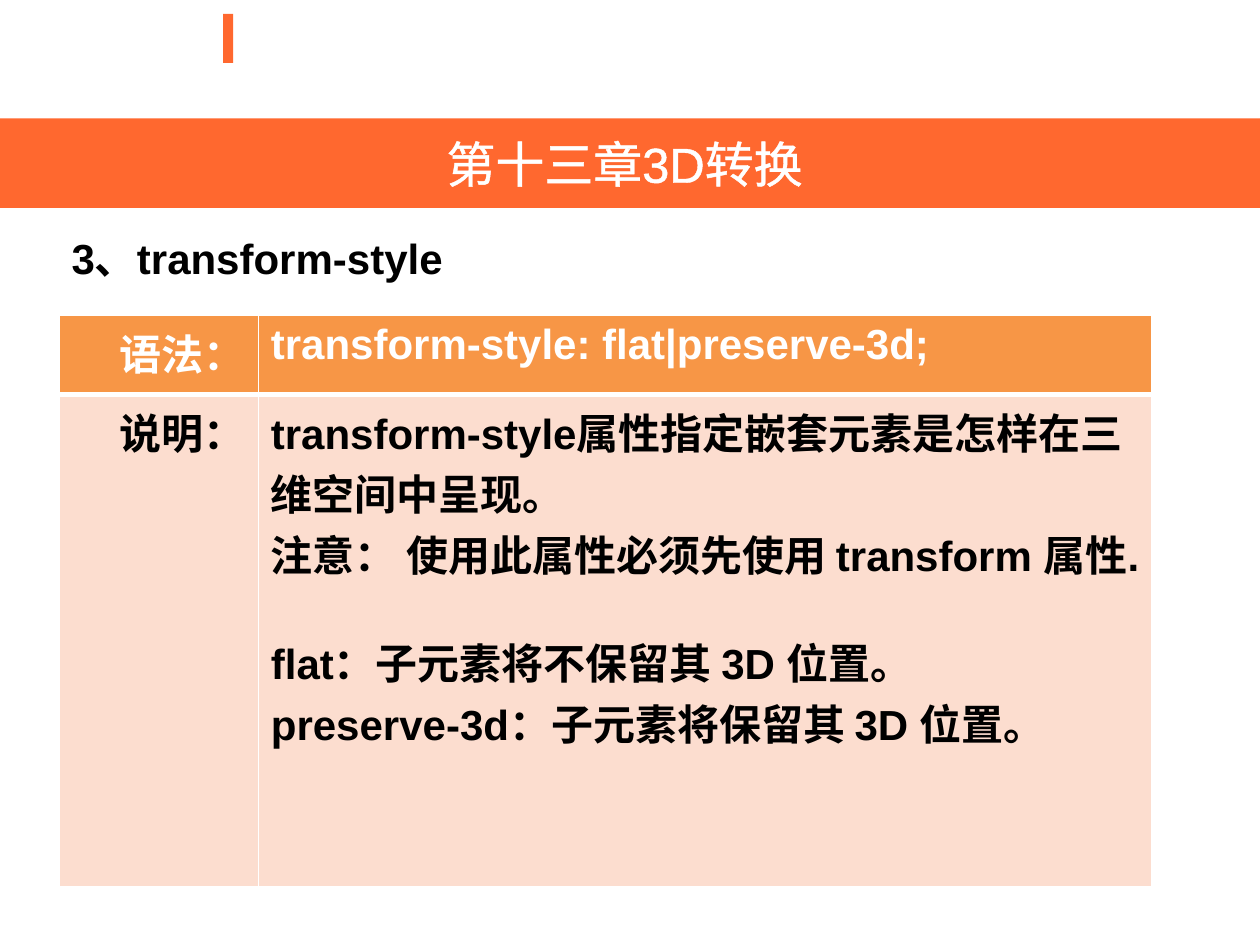
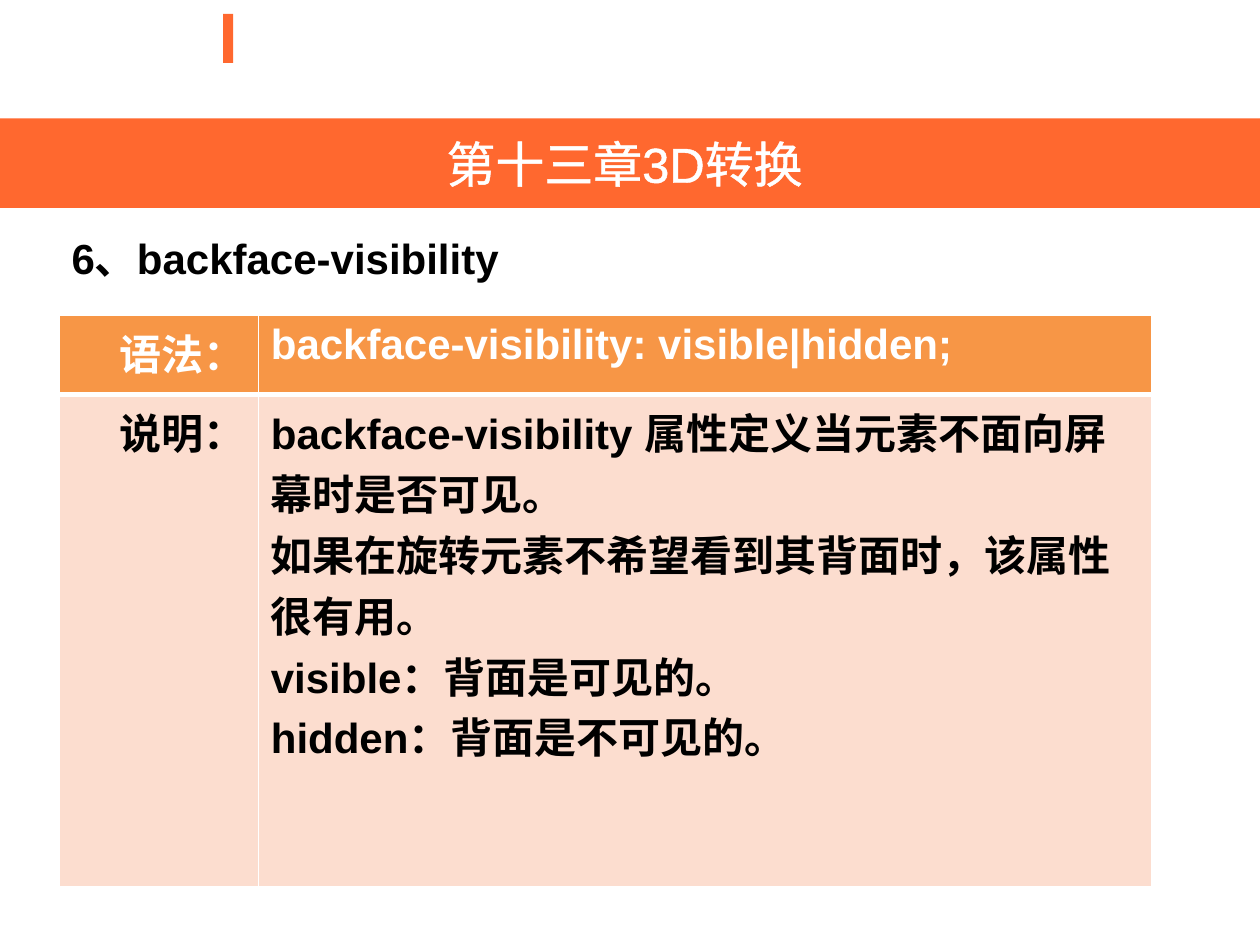
"""Build two slides that explain CSS 3D transform properties."""
from lxml import etree
from pptx import Presentation
from pptx import util as u
from pptx.dml.color import RGBColor
from pptx.enum import shapes, text
from pptx.oxml import ns

BRAND = RGBColor(0xFF, 0x68, 0x2F)
HEADER = RGBColor(0xF7, 0x96, 0x46)
BODY = RGBColor(0xFC, 0xDD, 0xCF)
WHITE = RGBColor(0xFF, 0xFF, 0xFF)
BLACK = RGBColor(0, 0, 0)

CHAPTER = "第十三章3D转换 "
TOPICS = [
    ("3、transform-style", "transform-style: flat|preserve-3d;", [
        ("transform-style属性指定嵌套元素是怎样在三维空间中呈现。", 0),
        ("注意： 使用此属性必须先使用 transform 属性.", 0),
        ("flat：子元素将不保留其 3D 位置。", 27),
        ("preserve-3d：子元素将保留其 3D 位置。", 0),
    ]),
    ("6、backface-visibility ", "backface-visibility: visible|hidden;", [
        ("backface-visibility 属性定义当元素不面向屏幕时是否可见。", 0),
        ("如果在旋转元素不希望看到其背面时，该属性很有用。", 0),
        ("visible：背面是可见的。", 0),
        ("hidden：背面是不可见的。", 0),
    ]),
]


def style_text(frame, size, color, bold):
    for para in frame.paragraphs:
        for span in para.runs:
            span.font.name = "Arial"
            span.font.size = u.Pt(size)
            span.font.bold = bold
            span.font.color.rgb = color


def add_white_line(parent, tag, width, position):
    line = etree.Element(ns.qn(tag), w=str(u.Pt(width)))
    fill = etree.SubElement(line, ns.qn("a:solidFill"))
    etree.SubElement(fill, ns.qn("a:srgbClr"), val=str(WHITE))
    parent.insert(position, line)


deck = Presentation()
deck.slide_width = u.Inches(10)
deck.slide_height = u.Inches(7.5)

for heading, syntax, notes in TOPICS:
    page = deck.slides.add_slide(deck.slide_layouts[5])

    accent = page.shapes.add_shape(
        shapes.MSO_SHAPE.RECTANGLE,
        u.Inches(1.77), u.Inches(0.11), u.Inches(0.08), u.Inches(0.39))
    accent.shadow.inherit = False
    accent.fill.solid()
    accent.fill.fore_color.rgb = BRAND
    accent.line.fill.background()

    band = page.shapes.title
    band.left, band.top = u.Inches(0), u.Inches(0.94)
    band.width, band.height = u.Inches(10), u.Inches(0.71)
    band.fill.solid()
    band.fill.fore_color.rgb = BRAND
    band.text_frame.text = CHAPTER
    band.text_frame.vertical_anchor = text.MSO_ANCHOR.MIDDLE
    band.text_frame.auto_size = text.MSO_AUTO_SIZE.NONE
    band.text_frame.paragraphs[0].alignment = text.PP_ALIGN.CENTER
    style_text(band.text_frame, 28, WHITE, False)
    chapter_font = band.text_frame.paragraphs[0].runs[0].font
    add_white_line(chapter_font._element, "a:ln", 1.45, 0)

    box = page.shapes.add_textbox(
        u.Inches(0.47), u.Inches(1.8), u.Inches(9.06), u.Inches(0.5))
    box.text_frame.word_wrap = True
    box.text_frame.auto_size = text.MSO_AUTO_SIZE.SHAPE_TO_FIT_TEXT
    box.text_frame.text = heading
    style_text(box.text_frame, 24, BLACK, True)

    table = page.shapes.add_table(
        2, 2, u.Inches(0.47), u.Inches(2.5), u.Inches(8.67), u.Inches(4.54)).table
    for column, width in zip(table.columns, (1.58, 7.09)):
        column.width = u.Inches(width)
    for row, height in zip(table.rows, (0.63, 3.91)):
        row.height = u.Inches(height)

    table.cell(0, 0).text_frame.text = "语法："
    table.cell(1, 0).text_frame.text = "说明："
    table.cell(0, 1).text_frame.text = syntax
    details = table.cell(1, 1).text_frame
    details.text = "\n".join(note for note, gap in notes)
    for para, (note, gap) in zip(details.paragraphs, notes):
        para.space_before = u.Pt(gap)

    row_styles = [(HEADER, WHITE, 1, 3), (BODY, BLACK, 3, 1)]
    for row, (fill, color, top, bottom) in zip(table.rows, row_styles):
        row.cells[0].text_frame.paragraphs[0].alignment = text.PP_ALIGN.RIGHT
        for cell in row.cells:
            cell.fill.solid()
            cell.fill.fore_color.rgb = fill
            style_text(cell.text_frame, 24, color, True)
            borders = [("a:lnL", 1), ("a:lnR", 1), ("a:lnT", top), ("a:lnB", bottom)]
            for position, (tag, width) in enumerate(borders):
                add_white_line(cell._tc.get_or_add_tcPr(), tag, width, position)

deck.save("out.pptx")
